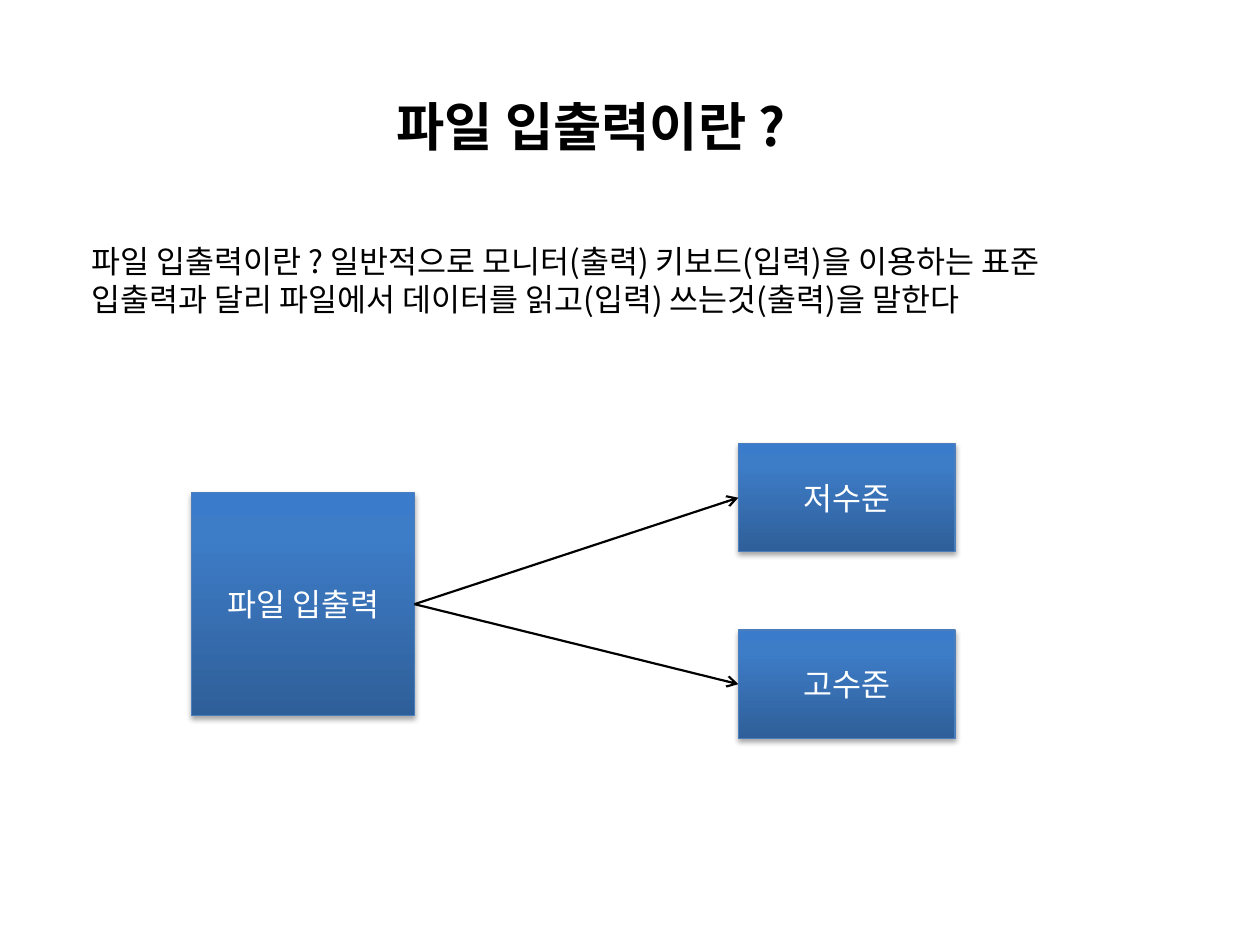
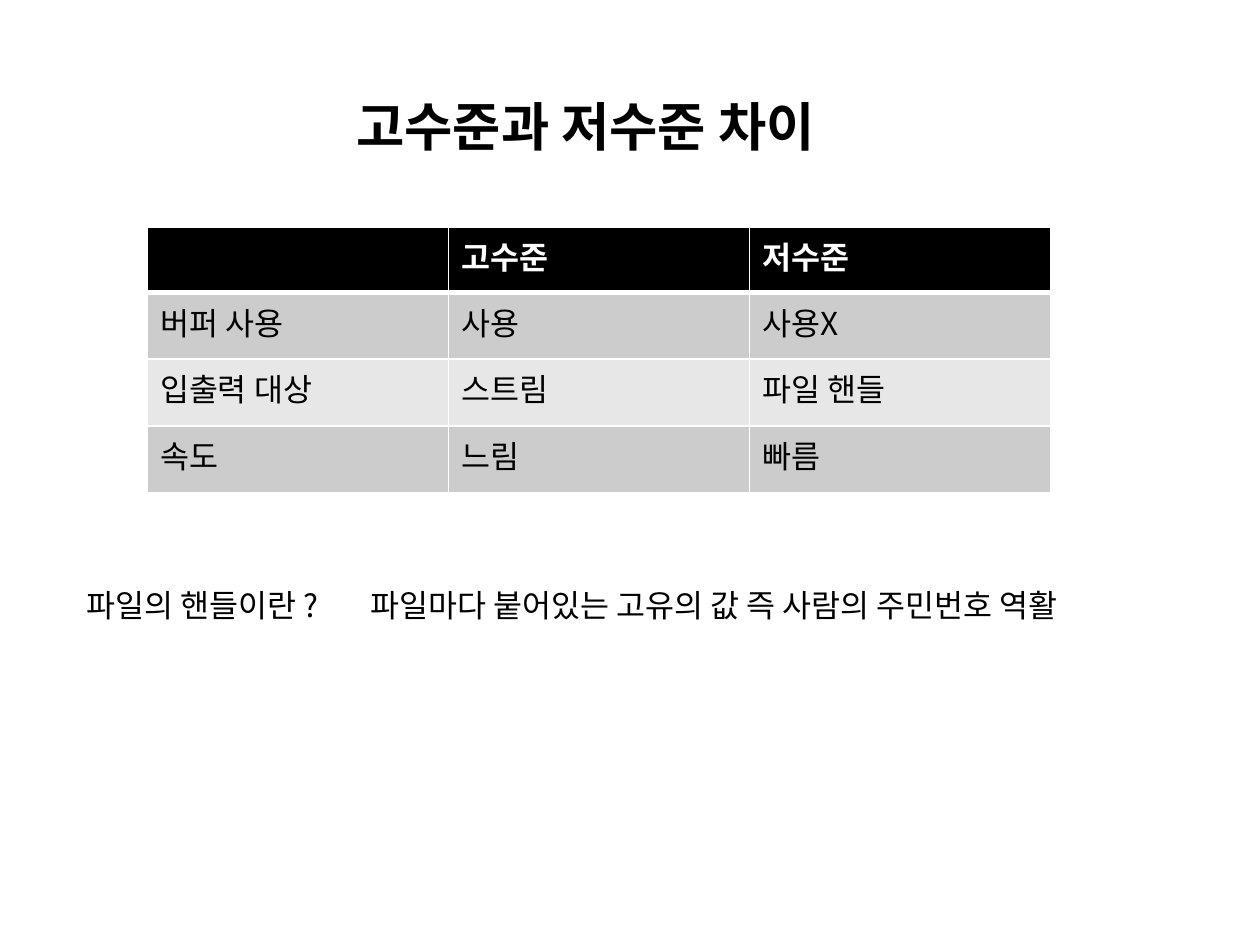
from copy import deepcopy

from lxml.etree import SubElement
from pptx import Presentation
from pptx.dml.color import RGBColor
from pptx.enum.shapes import MSO_CONNECTOR, MSO_SHAPE
from pptx.enum.text import MSO_ANCHOR, MSO_AUTO_SIZE, PP_ALIGN
from pptx.oxml.ns import qn
from pptx.util import Inches, Pt

BLACK, WHITE = "000000", "FFFFFF"
BOX_LINE = "4B7EBC"
BOX_STOPS = [(0, "2F5F99"), (0.8, "3D7CC7"), (1, "3A7CCB")]
ROW_FILLS = ["E7E7E7", "CCCCCC"]
LEFT_SITE, RIGHT_SITE = 1, 3


def rgb(value):
    """Turn a hex string into a colour."""
    return RGBColor.from_string(value)


class Deck:
    """Hold the shared style and the current slide."""

    font = "Noto Sans CJK KR"
    body_size = 18
    title_size = 30

    def __init__(self):
        """Start an empty 10 by 7.5 inch presentation."""
        self.prs = Presentation()
        self.prs.slide_width, self.prs.slide_height = Inches(10), Inches(7.5)
        self.slide = None

    def new_slide(self):
        """Add a blank slide and make it current."""
        self.slide = self.prs.slides.add_slide(self.prs.slide_layouts[6])

    def run(self, p, text, color=BLACK, size=None, bold=False):
        """Add one styled run to a paragraph."""
        r = p.add_run()
        r.text = text
        r.font.size = Pt(size or self.body_size)
        r.font.bold = bold
        r.font.color.rgb = rgb(color)
        r.font.name = self.font
        SubElement(r.font._element, qn("a:ea")).set("typeface", self.font)

    def text(self, x, y, w, h, lines, **style):
        """Add an unwrapped text box with one paragraph per line."""
        s = self.slide.shapes.add_textbox(Inches(x), Inches(y), Inches(w), Inches(h))
        tf = s.text_frame
        tf.word_wrap = False
        tf.auto_size = MSO_AUTO_SIZE.SHAPE_TO_FIT_TEXT
        for i, line in enumerate(lines):
            p = tf.add_paragraph() if i else tf.paragraphs[0]
            self.run(p, line, **style)

    def title(self, x, w, text):
        """Add the slide title."""
        self.text(x, 0.7, w, 0.61, [text], size=self.title_size, bold=True)

    def box(self, x, y, w, h, label):
        """Add a labelled gradient box with a soft shadow."""
        s = self.slide.shapes.add_shape(
            MSO_SHAPE.RECTANGLE, Inches(x), Inches(y), Inches(w), Inches(h))
        s.fill.gradient()
        s.fill.gradient_angle = 90
        stops = s._element.spPr.find(".//" + qn("a:gsLst"))
        stops.append(deepcopy(stops[-1]))
        for stop, (position, color) in zip(s.fill.gradient_stops, BOX_STOPS):
            stop.position = position
            stop.color.rgb = rgb(color)
        s.line.color.rgb = rgb(BOX_LINE)
        s.line.width = Pt(0.75)
        self.shadow(s)
        tf = s.text_frame
        tf.vertical_anchor = MSO_ANCHOR.MIDDLE
        p = tf.paragraphs[0]
        p.alignment = PP_ALIGN.CENTER
        self.run(p, label, WHITE)
        return s

    def shadow(self, s):
        """Give a shape a short shadow straight below it."""
        s.shadow.inherit = False
        effects = s._element.spPr.find(qn("a:effectLst"))
        outer = SubElement(effects, qn("a:outerShdw"), blurRad=str(Pt(3.1)),
                           dist=str(Pt(1.8)), dir="5400000", rotWithShape="0")
        color = SubElement(outer, qn("a:srgbClr"), val=BLACK)
        SubElement(color, qn("a:alpha"), val="35000")

    def arrow(self, start, end):
        """Connect the right side of one box to the left side of another."""
        c = self.slide.shapes.add_connector(MSO_CONNECTOR.STRAIGHT, 0, 0, 0, 0)
        c.begin_connect(start, RIGHT_SITE)
        c.end_connect(end, LEFT_SITE)
        c.line.color.rgb = rgb(BLACK)
        c.line.width = Pt(1.25)
        spPr = c._element.spPr
        SubElement(spPr.find(qn("a:ln")), qn("a:tailEnd"), type="arrow")
        SubElement(spPr, qn("a:effectLst"))

    def borders(self, cell, bottom):
        """Draw white borders around a cell."""
        tcPr = cell._tc.get_or_add_tcPr()
        for side, width in zip("LRTB", (1, 1, 1, bottom)):
            ln = SubElement(tcPr, qn("a:ln" + side), w=str(Pt(width)))
            fill = SubElement(ln, qn("a:solidFill"))
            SubElement(fill, qn("a:srgbClr"), val=WHITE)

    def table(self, x, y, col_width, heights, rows):
        """Add a table with a black header and grey bands."""
        table = self.slide.shapes.add_table(
            len(rows), len(rows[0]), Inches(x), Inches(y),
            Inches(col_width * len(rows[0])), Inches(sum(heights))).table
        for col in table.columns:
            col.width = Inches(col_width)
        for i, (height, row) in enumerate(zip(heights, rows)):
            table.rows[i].height = Inches(height)
            header = i == 0
            for j, text in enumerate(row):
                cell = table.cell(i, j)
                self.borders(cell, 3 if header else 1)
                cell.fill.solid()
                cell.fill.fore_color.rgb = rgb(BLACK if header else ROW_FILLS[i % 2])
                if text:
                    self.run(cell.text_frame.paragraphs[0], text,
                             WHITE if header else BLACK, bold=header)


def build_overview(deck):
    """Build the slide on what file input and output is."""
    deck.new_slide()
    deck.title(3.05, 3.63, "파일 입출력이란 ?")
    deck.text(0.63, 1.87, 8.66, 0.71, [
        "파일 입출력이란 ? 일반적으로 모니터(출력) 키보드(입력)을 이용하는 표준",
        "입출력과 달리 파일에서 데이터를 읽고(입력) 쓰는것(출력)을 말한다"])
    file_io = deck.box(1.52, 3.91, 1.77, 1.77, "파일 입출력")
    levels = [deck.box(5.86, 3.52 + i * 1.48, 1.72, 0.86, label)
              for i, label in enumerate(["저수준", "고수준"])]
    for level in levels:
        deck.arrow(file_io, level)


def build_comparison(deck):
    """Build the slide comparing high and low level."""
    deck.new_slide()
    deck.title(2.73, 4.28, "고수준과 저수준 차이")
    deck.table(1.17, 1.8, 2.39, [0.52, 0.53, 0.53, 0.53], [
        ["", "고수준", "저수준"],
        ["버퍼 사용", "사용", "사용X"],
        ["입출력 대상", "스트림", "파일 핸들"],
        ["속도", "느림", "빠름"]])
    deck.text(0.59, 4.6, 2.26, 0.4, ["파일의 핸들이란 ?"])
    deck.text(2.84, 4.6, 6.38, 0.4, ["파일마다 붙어있는 고유의 값 즉 사람의 주민번호 역활"])


deck = Deck()
build_overview(deck)
build_comparison(deck)
deck.prs.save("out.pptx")
